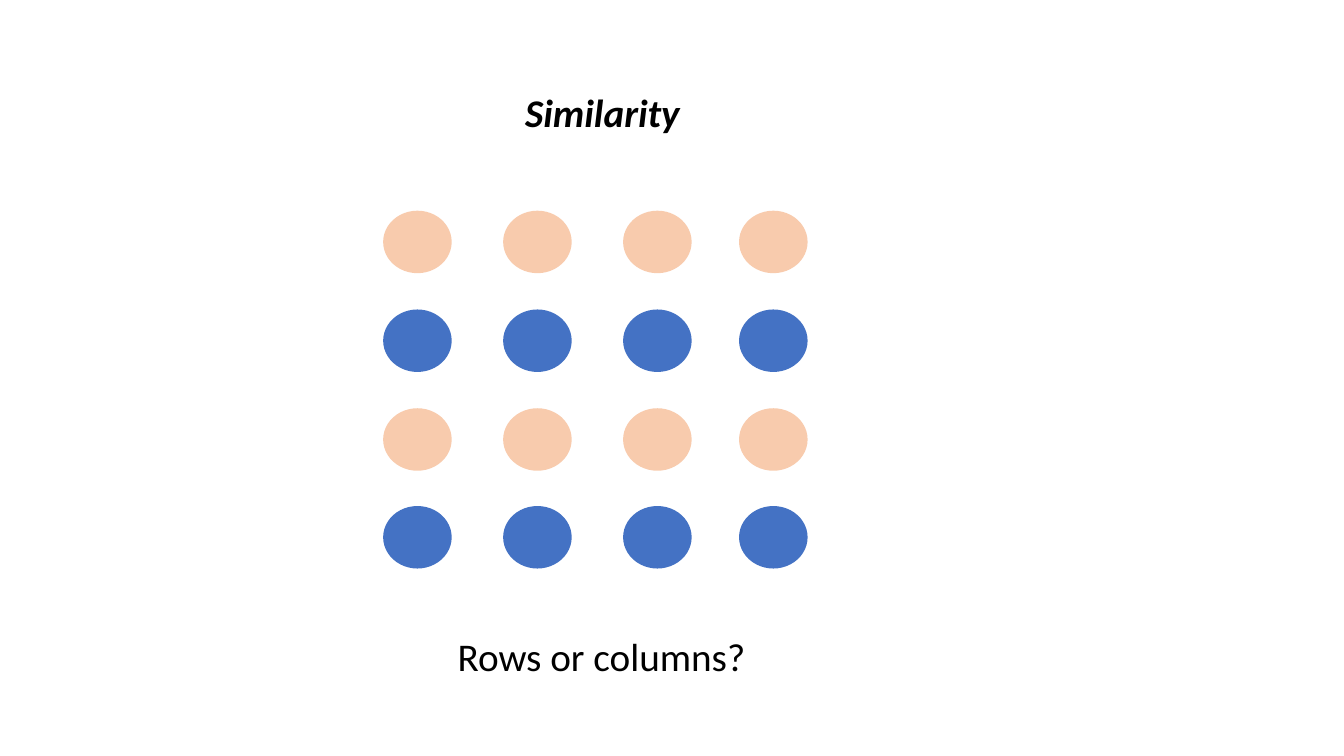
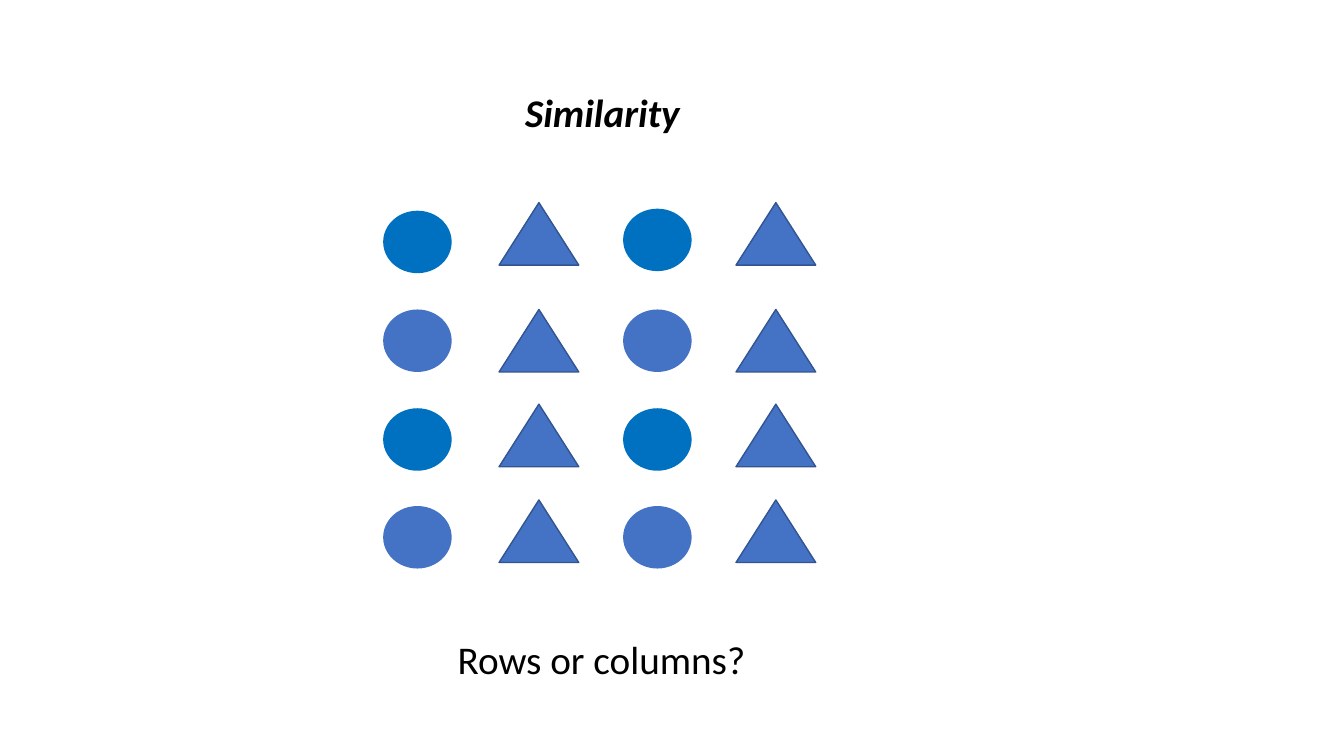
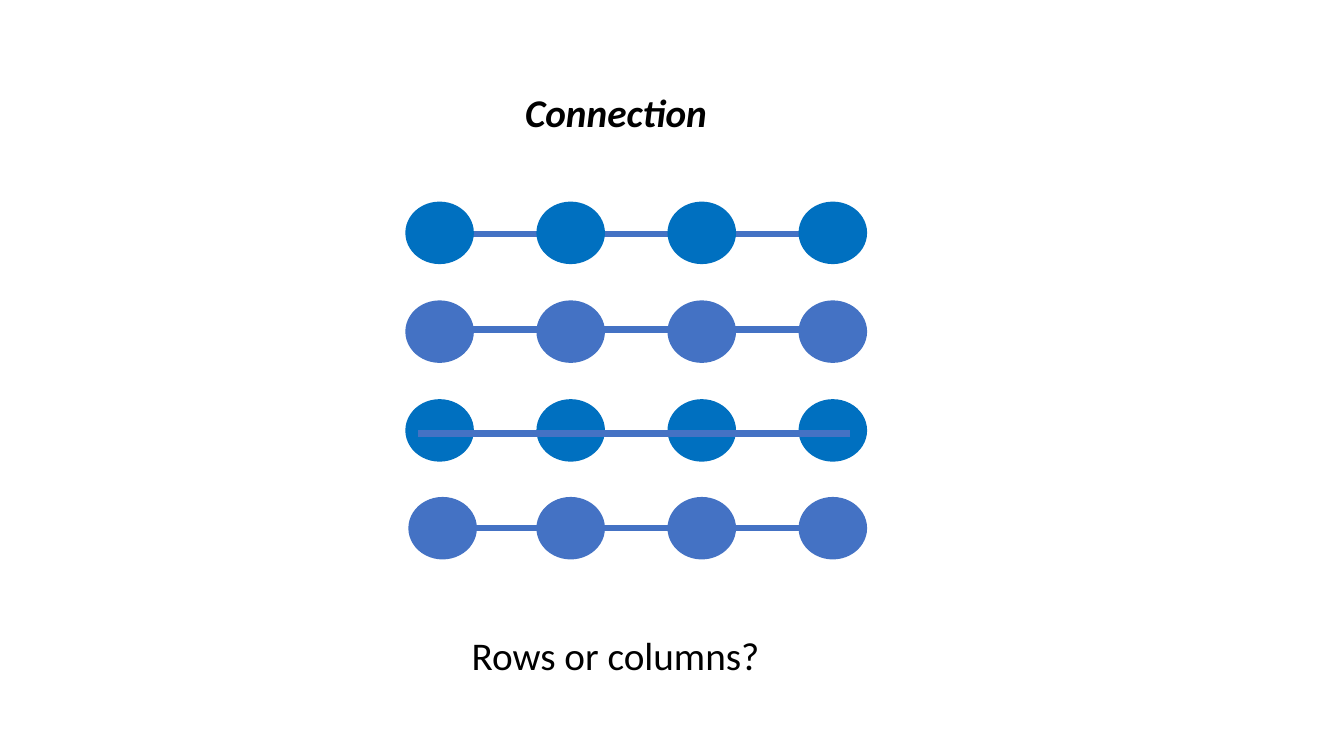
from itertools import cycle

from lxml import etree
from pptx import Presentation
from pptx.dml.color import RGBColor
from pptx.enum.shapes import MSO_CONNECTOR, MSO_SHAPE
from pptx.enum.text import MSO_AUTO_SIZE
from pptx.oxml.ns import qn
from pptx.util import Inches, Pt

OVAL = MSO_SHAPE.OVAL
TRIANGLE = MSO_SHAPE.ISOSCELES_TRIANGLE
STRAIGHT = MSO_CONNECTOR.STRAIGHT
FIT_SHAPE = MSO_AUTO_SIZE.SHAPE_TO_FIT_TEXT

BLACK = RGBColor(0x00, 0x00, 0x00)
PEACH = RGBColor(0xF8, 0xCB, 0xAD)
BLUE = RGBColor(0x44, 0x72, 0xC4)
BRIGHT_BLUE = RGBColor(0x00, 0x70, 0xC0)
DARK_BLUE = RGBColor(0x32, 0x54, 0x91)

FONT = "Calibri"
TEXT_SIZE = Pt(28)
QUESTION = "Rows or columns?"
DOT_WIDTH, TRIANGLE_WIDTH, MARK_HEIGHT = 0.68, 0.79, 0.62


class Deck:
    """Holds the shared style and the slide being built."""

    def __init__(self):
        self.prs = Presentation()
        self.prs.slide_width = Inches(13.33)
        self.prs.slide_height = Inches(7.5)
        self.slide = None

    def new_slide(self):
        self.slide = self.prs.slides.add_slide(self.prs.slide_layouts[6])

    def text(self, words, left, top, width, emphasis=False):
        box = self.slide.shapes.add_textbox(
            Inches(left), Inches(top), Inches(width), Inches(0.57))
        frame = box.text_frame
        frame.word_wrap = False
        frame.auto_size = FIT_SHAPE
        paragraph = frame.paragraphs[0]
        paragraph.text = words
        font = paragraph.font
        font.name, font.size = FONT, TEXT_SIZE
        font.bold = font.italic = emphasis
        font.color.rgb = BLACK

    def title(self, words, width):
        self.text(words, 5.11, 0.83, width, emphasis=True)

    def question(self, left, top):
        self.text(QUESTION, left, top, 3.09)

    def mark(self, preset, left, top, width, fill, outline=None):
        shape = self.slide.shapes.add_shape(
            preset, Inches(left), Inches(top), Inches(width), Inches(MARK_HEIGHT))
        shape.shadow.inherit = False
        shape.fill.solid()
        shape.fill.fore_color.rgb = fill
        if outline is None:
            shape.line.fill.background()
        else:
            shape.line.color.rgb = outline
            shape.line.width = Pt(1)

    def dots(self, left, tops, fills):
        """One column of dots whose fills alternate."""
        for top, fill in zip(tops, cycle(fills)):
            self.mark(OVAL, left, top, DOT_WIDTH, fill)

    def triangles(self, left, tops):
        for top in tops:
            self.mark(TRIANGLE, left, top, TRIANGLE_WIDTH, BLUE, DARK_BLUE)

    def link(self, start, end, y):
        line = self.slide.shapes.add_connector(
            STRAIGHT, Inches(start), Inches(y), Inches(end), Inches(y))
        line.line.color.rgb = BLUE
        line.line.width = Pt(4.5)
        etree.SubElement(line._element.spPr, qn("a:effectLst"))


def main():
    deck = Deck()
    dot_tops = [2.09, 3.07, 4.05, 5.02]

    # Similarity by colour
    deck.new_slide()
    deck.title("Similarity", 1.75)
    for left in (3.8, 4.99, 6.18, 7.33):
        deck.dots(left, dot_tops, (PEACH, BLUE))
    deck.question(4.44, 6.22)

    # Similarity by shape
    deck.new_slide()
    deck.title("Similarity", 1.75)
    deck.dots(3.8, dot_tops, (BRIGHT_BLUE, BLUE))
    deck.dots(6.18, [2.07] + dot_tops[1:], (BRIGHT_BLUE, BLUE))
    for left in (4.95, 7.3):
        deck.triangles(left, (2.01, 3.07, 4.01, 4.96))
    deck.question(4.44, 6.25)

    # Connection: the first link runs behind the dots, the others in front
    deck.new_slide()
    deck.link(4.05, 8.2, 2.32)
    deck.title("Connection", 2.03)
    linked_tops = [2, 2.98, 3.96, 4.93]
    deck.dots(4.02, linked_tops[:3], (BRIGHT_BLUE, BLUE))
    deck.dots(4.05, linked_tops[3:], (BLUE,))
    for column in range(1, 4):
        deck.dots(4.02 + 1.3 * column, linked_tops, (BRIGHT_BLUE, BLUE))
    for start, y in ((4.15, 3.27), (4.15, 4.3), (4.3, 5.24)):
        deck.link(start, 8.43, y)
    deck.question(4.58, 6.21)

    deck.prs.save("out.pptx")


if __name__ == "__main__":
    main()
